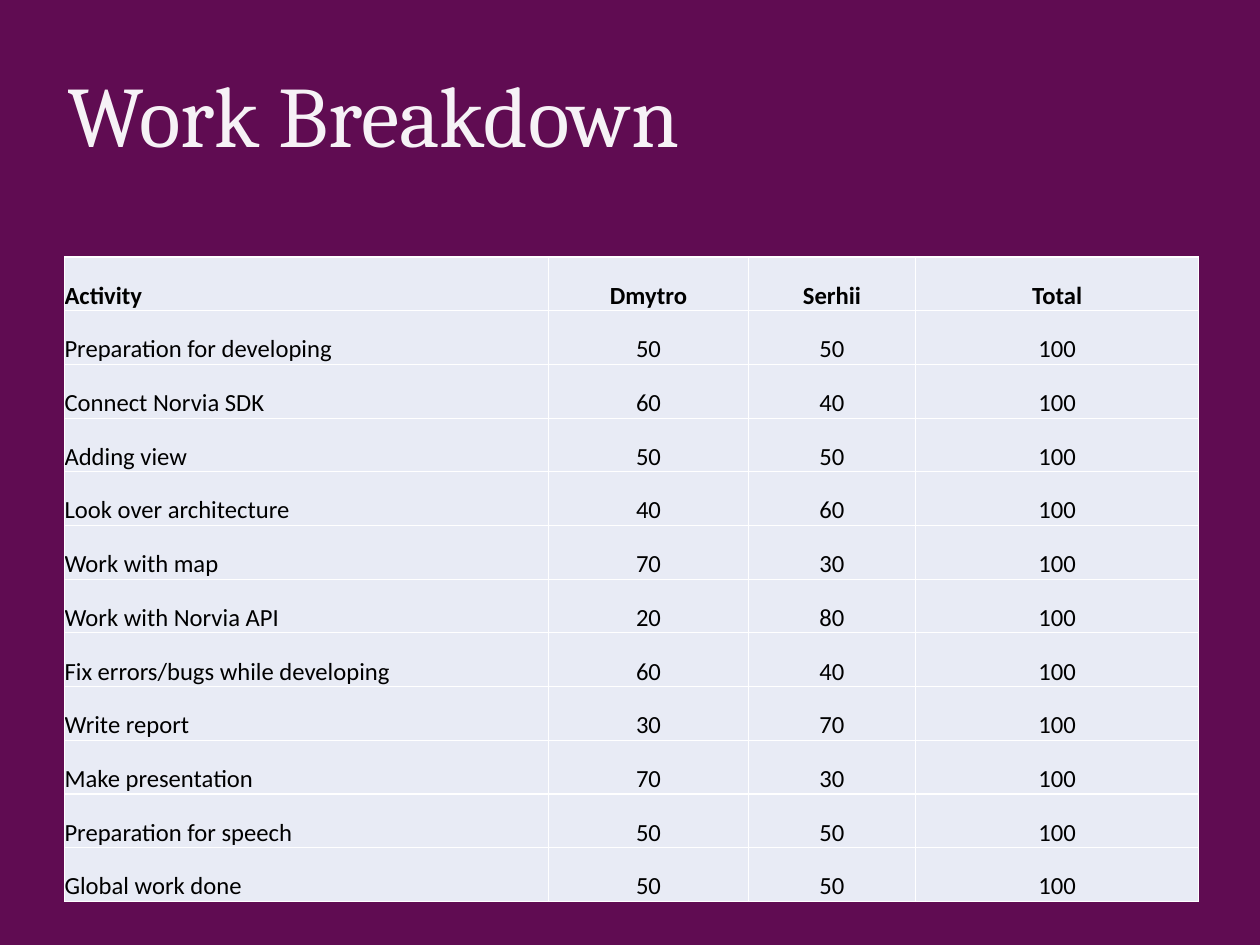
"""Build the Work Breakdown slide: a title above a table of activity shares."""
from lxml.etree import SubElement
from pptx import Presentation
from pptx.dml.color import RGBColor
from pptx.enum.text import MSO_ANCHOR as Anchor, PP_ALIGN as Align
from pptx.oxml.ns import qn
from pptx.util import Cm, Pt

COLORS = {"background": "600C52", "title": "FFFFFF", "cell": "E8EBF5",
          "text": "000000", "border": "FFFFFF"}


def write(frame, text, font="Calibri", size=20, color="text", bold=False,
          align=Align.LEFT, spacing=1.0, opacity=100):
    paragraph = frame.paragraphs[0]
    paragraph.alignment = align
    paragraph.line_spacing = spacing
    run = paragraph.add_run()
    run.text = text
    run.font.name = font
    run.font.size = Pt(size)
    run.font.bold = bold
    run.font.color.rgb = RGBColor.from_string(COLORS[color])
    if opacity < 100:
        rgb = run.font.fill._xPr.find(".//" + qn("a:srgbClr"))
        SubElement(rgb, qn("a:alpha"), val=str(opacity * 1000))


def add_borders(cell):
    properties = cell._tc.get_or_add_tcPr()
    for position, side in enumerate(("a:lnL", "a:lnR", "a:lnT", "a:lnB")):
        line = SubElement(properties, qn(side), w=str(Pt(1)))
        properties.insert(position, line)
        fill = SubElement(line, qn("a:solidFill"))
        SubElement(fill, qn("a:srgbClr"), val=COLORS["border"])


prs = Presentation()
prs.slide_width, prs.slide_height = Cm(36.12), Cm(27.1)
slide = prs.slides.add_slide(prs.slide_layouts[6])
slide.background.fill.solid()
slide.background.fill.fore_color.rgb = RGBColor.from_string(COLORS["background"])

title = slide.shapes.add_textbox(Cm(1.8), Cm(0.43), Cm(32.54), Cm(5.64)).text_frame
title.word_wrap = True
title.vertical_anchor = Anchor.MIDDLE
title.margin_left = title.margin_right = Cm(0.15)
title.margin_top = title.margin_bottom = Cm(0.15)
write(title, "Work Breakdown", font="Cambria", size=70, color="title", opacity=95)

shares = [
    ("Preparation for developing", 50, 50),
    ("Connect Norvia SDK", 60, 40),
    ("Adding view", 50, 50),
    ("Look over architecture", 40, 60),
    ("Work with map", 70, 30),
    ("Work with Norvia API", 20, 80),
    ("Fix errors/bugs while developing", 60, 40),
    ("Write report", 30, 70),
    ("Make presentation", 70, 30),
    ("Preparation for speech", 50, 50),
    ("Global work done", 50, 50),
]
rows = [("Activity", "Dmytro", "Serhii", "Total")]
rows += [(activity, dmytro, serhii, dmytro + serhii)
         for activity, dmytro, serhii in shares]
column_widths = [13.87, 5.74, 4.78, 8.13]
row_height = 1.54

breakdown = slide.shapes.add_table(
    len(rows), len(column_widths), Cm(1.85), Cm(7.37),
    Cm(sum(column_widths)), Cm(row_height * len(rows))).table
breakdown.first_row = breakdown.horz_banding = False
for column, width in zip(breakdown.columns, column_widths):
    column.width = Cm(width)

for r, values in enumerate(rows):
    breakdown.rows[r].height = Cm(row_height)
    for c, value in enumerate(values):
        cell = breakdown.cell(r, c)
        cell.margin_left = cell.margin_right = cell.margin_bottom = 0
        cell.margin_top = Pt(7)
        cell.vertical_anchor = Anchor.MIDDLE
        cell.fill.solid()
        cell.fill.fore_color.rgb = RGBColor.from_string(COLORS["cell"])
        add_borders(cell)
        write(cell.text_frame, str(value), bold=r == 0, spacing=1.5,
              align=Align.CENTER if c else Align.JUSTIFY)

prs.save("out.pptx")
